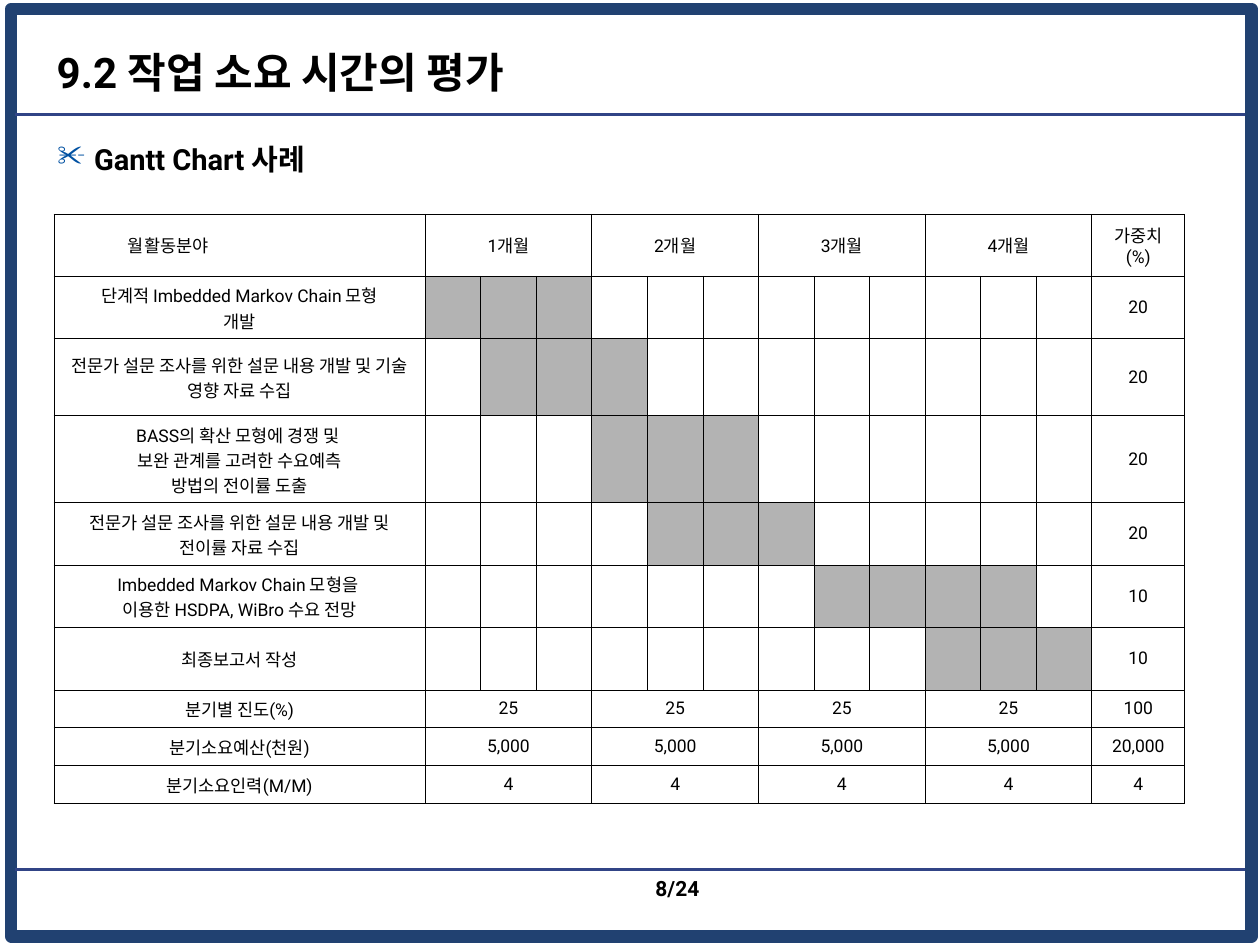
"""Build the Gantt chart example slide."""
import lxml.etree
import pptx
import pptx.dml.color
import pptx.enum.shapes
import pptx.enum.text
import pptx.oxml.ns
import pptx.util

Cm = pptx.util.Cm
Pt = pptx.util.Pt
ALIGN = pptx.enum.text.PP_ALIGN
MIDDLE = pptx.enum.text.MSO_ANCHOR.MIDDLE
qn = pptx.oxml.ns.qn

TITLE = "9.2 작업 소요 시간의 평가"
SUBTITLE = "Gantt Chart 사례"
PAGE_NUMBER = "8/24"
HEADING = "월활동분야"
MONTHS = ["1개월", "2개월", "3개월", "4개월"]
WEIGHT_HEADING = ["가중치", "(%)"]

# fields: label lines, first shaded slot, last shaded slot, weight, row height in cm
TASKS = [
    (["단계적 Imbedded Markov Chain 모형", "개발"], 1, 3, "20", 1.26),
    (["전문가 설문 조사를 위한 설문 내용 개발 및 기술 영향 자료 수집"], 2, 4, "20", 1.55),
    (["BASS의 확산 모형에 경쟁 및 ", "보완 관계를 고려한 수요예측", "방법의 전이률 도출"],
     4, 6, "20", 1.75),
    (["전문가 설문 조사를 위한 설문 내용 개발 및 전이률 자료 수집"], 5, 7, "20", 1.26),
    (["Imbedded Markov Chain 모형을 ", "이용한 HSDPA, WiBro 수요 전망"], 8, 11, "10", 1.26),
    (["최종보고서 작성"], 10, 12, "10", 1.26),
]
SUMMARY = [
    ("분기별 진도(%)", "25", "100"),
    ("분기소요예산(천원)", "5,000", "20,000"),
    ("분기소요인력(M/M)", "4", "4"),
]

COLORS = {"frame": "214171", "rule": "314486", "bullet": "0051A2",
          "text": "000000", "bar": "B3B3B3", "page": "FFFFFF"}
FONT = "Roboto"
SLOTS_PER_MONTH = 3
SLOTS = SLOTS_PER_MONTH * len(MONTHS)
COLUMN_WIDTHS = [7.48] + [1.12] * SLOTS + [1.87]
HEADER_HEIGHT, SUMMARY_HEIGHT = 1.25, 0.76


def rgb(name):
    return pptx.dml.color.RGBColor.from_string(COLORS[name])


def write(frame, lines, size, bold=False, align=ALIGN.LEFT):
    for number, line in enumerate(lines):
        para = frame.add_paragraph() if number else frame.paragraphs[0]
        para.alignment = align
        span = para.add_run()
        span.text = line
        span.font.name = FONT
        span.font.size = Pt(size)
        span.font.bold = bold
        span.font.color.rgb = rgb("text")


def add_text(page, place, line, size, align=ALIGN.LEFT):
    box = page.shapes.add_textbox(*map(Cm, place))
    box.text_frame.word_wrap = True
    write(box.text_frame, [line], size, True, align)
    return box.text_frame.paragraphs[0]


def add_bullet(para, symbol, indent):
    properties = para._p.get_or_add_pPr()
    properties.set("marL", str(Cm(indent)))
    properties.set("indent", str(-Cm(indent)))
    color = lxml.etree.SubElement(properties, qn("a:buClr"))
    lxml.etree.SubElement(color, qn("a:srgbClr"), val=COLORS["bullet"])
    lxml.etree.SubElement(properties, qn("a:buChar"), char=symbol)


def add_rule(page, top):
    rule = page.shapes.add_connector(
        pptx.enum.shapes.MSO_CONNECTOR.STRAIGHT, Cm(0.3), Cm(top), Cm(25.1), Cm(top))
    rule.line.color.rgb = rgb("rule")
    rule.line.width = Pt(2)
    lxml.etree.SubElement(rule._element.spPr, qn("a:effectLst"))


def add_frame(page):
    frame = page.shapes.add_shape(
        pptx.enum.shapes.MSO_SHAPE.RECTANGLE, Cm(0.23), Cm(0.18), Cm(25), Cm(18.7))
    frame.shadow.inherit = False
    frame.fill.background()
    frame.line.color.rgb = rgb("frame")
    frame.line.width = Pt(7)


def format_cell(cell, fill):
    properties = cell._tc.get_or_add_tcPr()
    for side in ("a:lnL", "a:lnR", "a:lnT", "a:lnB"):
        border = lxml.etree.SubElement(properties, qn(side), w=str(Pt(0.45)))
        solid = lxml.etree.SubElement(border, qn("a:solidFill"))
        lxml.etree.SubElement(solid, qn("a:srgbClr"), val=COLORS["text"])
    cell.fill.solid()
    cell.fill.fore_color.rgb = rgb(fill)
    cell.vertical_anchor = MIDDLE
    cell.margin_left = cell.margin_right = Cm(0.3)
    cell.margin_top = cell.margin_bottom = Cm(0.13)


def fill_row(table, row, label, weight, month_values=()):
    write(table.cell(row, 0).text_frame, label, 10, align=ALIGN.CENTER)
    write(table.cell(row, SLOTS + 1).text_frame, weight, 10, align=ALIGN.CENTER)
    for month, value in enumerate(month_values):
        first = 1 + month * SLOTS_PER_MONTH
        cell = table.cell(row, first)
        cell.merge(table.cell(row, first + SLOTS_PER_MONTH - 1))
        write(cell.text_frame, [value], 10, align=ALIGN.CENTER)


def add_gantt(page):
    heights = [HEADER_HEIGHT] + [task[-1] for task in TASKS] + [SUMMARY_HEIGHT] * len(SUMMARY)
    table = page.shapes.add_table(
        len(heights), len(COLUMN_WIDTHS), Cm(1.09), Cm(4.32),
        Cm(sum(COLUMN_WIDTHS)), Cm(sum(heights))).table
    table.first_row = table.horz_banding = False
    for column, width in zip(table.columns, COLUMN_WIDTHS):
        column.width = Cm(width)
    for row, height in zip(table.rows, heights):
        row.height = Cm(height)
    bars = {(row, slot) for row, (_, first, last, _, _) in enumerate(TASKS, 1)
            for slot in range(first, last + 1)}
    for row in range(len(heights)):
        for column in range(len(COLUMN_WIDTHS)):
            format_cell(table.cell(row, column), "bar" if (row, column) in bars else "page")
    fill_row(table, 0, [HEADING], WEIGHT_HEADING, MONTHS)
    heading = table.cell(0, 0)
    heading.margin_left = Cm(1.49)
    heading.text_frame.paragraphs[0].alignment = ALIGN.LEFT
    for row, (label, _, _, weight, _) in enumerate(TASKS, 1):
        fill_row(table, row, label, [weight])
    for row, (label, value, total) in enumerate(SUMMARY, 1 + len(TASKS)):
        fill_row(table, row, [label], [total], [value] * len(MONTHS))


def main():
    deck = pptx.Presentation()
    deck.slide_width, deck.slide_height = Cm(25.4), Cm(19.05)
    page = deck.slides.add_slide(deck.slide_layouts[5])
    add_frame(page)
    add_rule(page, 2.31)
    add_rule(page, 17.53)
    title = page.shapes.title
    title.left, title.top, title.width, title.height = map(Cm, (0.89, 0.76, 19.81, 1.37))
    title.text_frame.vertical_anchor = MIDDLE
    write(title.text_frame, [TITLE], 24, True)
    add_text(page, (11.02, 17.53, 3.33, 0.84), PAGE_NUMBER, 12, ALIGN.RIGHT)
    add_gantt(page)
    add_bullet(add_text(page, (0.91, 2.72, 10.59, 1.02), SUBTITLE, 16.6), "✂", 0.74)
    deck.save("out.pptx")


if __name__ == "__main__":
    main()
